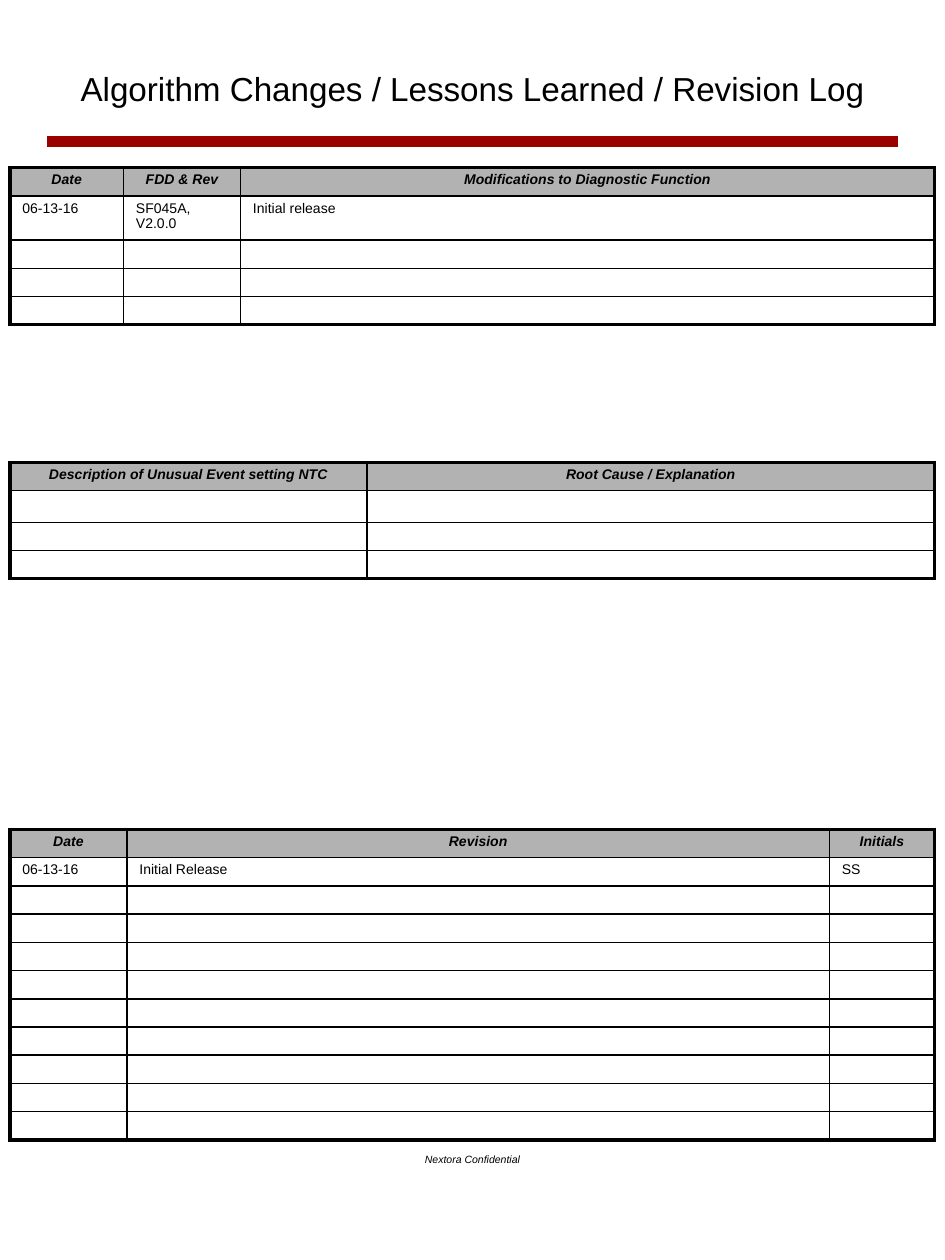
from dataclasses import dataclass

from lxml import etree
from pptx import Presentation
from pptx import util as u
from pptx.dml.color import RGBColor
from pptx.enum import shapes, text
from pptx.oxml import ns


@dataclass(frozen=True)
class Theme:
    font: str = "Arial"
    ink: str = "000000"
    rule: str = "990000"
    header: str = "B2B2B2"
    title_size: int = 19
    table_size: int = 8
    footer_size: int = 6
    thick: float = 2.25
    thin: float = 1


theme = Theme()


def write(frame, content, *, size, bold=False, italic=False,
          align=text.PP_ALIGN.LEFT, before=0, margins=(0.2, 0.1)):
    frame.word_wrap = True
    frame.margin_left = frame.margin_right = u.Cm(margins[0])
    frame.margin_top = frame.margin_bottom = u.Cm(margins[1])
    paragraph = frame.paragraphs[0]
    paragraph.alignment = align
    paragraph.space_before = u.Pt(before)
    if not content:
        etree.SubElement(paragraph._p, ns.qn("a:endParaRPr"), sz=str(size * 100))
        return
    run = paragraph.add_run()
    run.text = content
    run.font.name = theme.font
    run.font.size = u.Pt(size)
    run.font.bold = bold
    run.font.italic = italic
    run.font.color.rgb = RGBColor.from_string(theme.ink)


def draw_borders(cell, widths):
    properties = cell._tc.get_or_add_tcPr()
    for position, (side, width) in enumerate(widths.items()):
        border = etree.Element(ns.qn(f"a:{side}"), w=str(u.Pt(width)))
        fill = etree.SubElement(border, ns.qn("a:solidFill"))
        etree.SubElement(fill, ns.qn("a:srgbClr"), val=theme.ink)
        properties.insert(position, border)


deck = Presentation()
deck.slide_width, deck.slide_height = u.Cm(19.05), u.Cm(25.4)
slide = deck.slides.add_slide(deck.slide_layouts[5])

red_rule = slide.shapes.add_connector(
    shapes.MSO_CONNECTOR.STRAIGHT, u.Cm(0.95), u.Cm(2.85), u.Cm(18.1), u.Cm(2.85))
red_rule.line.color.rgb = RGBColor.from_string(theme.rule)
red_rule.line.width = u.Pt(6)
etree.SubElement(red_rule._element.spPr, ns.qn("a:effectLst"))

confidential = slide.shapes.add_textbox(u.Cm(6.5), u.Cm(23.14), u.Cm(6.05), u.Cm(1.75))
write(confidential.text_frame, "Nextora Confidential", size=theme.footer_size,
      italic=True, align=text.PP_ALIGN.CENTER)

row_height = 0.57
logs = [
    (16.72, [2.36, 14.16, 2.12], [row_height] * 11,
     [["Date", "Revision", "Initials"], ["06-13-16", "Initial Release", "SS"]]),
    (9.32, [7.2, 11.44], [row_height, 0.64, row_height, row_height],
     [["Description of Unusual Event setting NTC", "Root Cause / Explanation"]]),
    (3.38, [2.29, 2.36, 13.99], [row_height, 0.89] + [row_height] * 3,
     [["Date", "FDD & Rev", "Modifications to Diagnostic Function"],
      ["06-13-16", "SF045A, V2.0.0", "Initial release"]]),
]

for top, widths, heights, entries in logs:
    log = slide.shapes.add_table(
        len(heights), len(widths), u.Cm(0.2), u.Cm(top),
        u.Cm(sum(widths)), u.Cm(sum(heights))).table
    log.first_row = log.horz_banding = False
    for column, width in zip(log.columns, widths):
        column.width = u.Cm(width)
    for r, height in enumerate(heights):
        log.rows[r].height = u.Cm(height)
        is_header = r == 0
        for c in range(len(widths)):
            cell = log.cell(r, c)
            cell.margin_left = cell.margin_right = u.Cm(0.25)
            cell.margin_top = cell.margin_bottom = u.Cm(0.09)
            if is_header:
                cell.fill.solid()
                cell.fill.fore_color.rgb = RGBColor.from_string(theme.header)
            else:
                cell.fill.background()
            write(cell.text_frame, entries[r][c] if r < len(entries) else "",
                  size=theme.table_size, bold=is_header, italic=is_header,
                  align=text.PP_ALIGN.CENTER if is_header else text.PP_ALIGN.LEFT,
                  before=1.6, margins=(0.25, 0.09))
            outer = {"lnL": c == 0, "lnR": c == len(widths) - 1,
                     "lnT": is_header, "lnB": r == len(heights) - 1}
            draw_borders(cell, {side: theme.thick if edge else theme.thin
                                for side, edge in outer.items()})

title = slide.shapes.title
title.left, title.top, title.width, title.height = (
    u.Cm(0.95), u.Cm(1.02), u.Cm(17.15), u.Cm(1.52))
title.text_frame.vertical_anchor = text.MSO_ANCHOR.MIDDLE
write(title.text_frame, "Algorithm Changes / Lessons Learned / Revision Log",
      size=theme.title_size, align=text.PP_ALIGN.CENTER)

deck.save("out.pptx")
